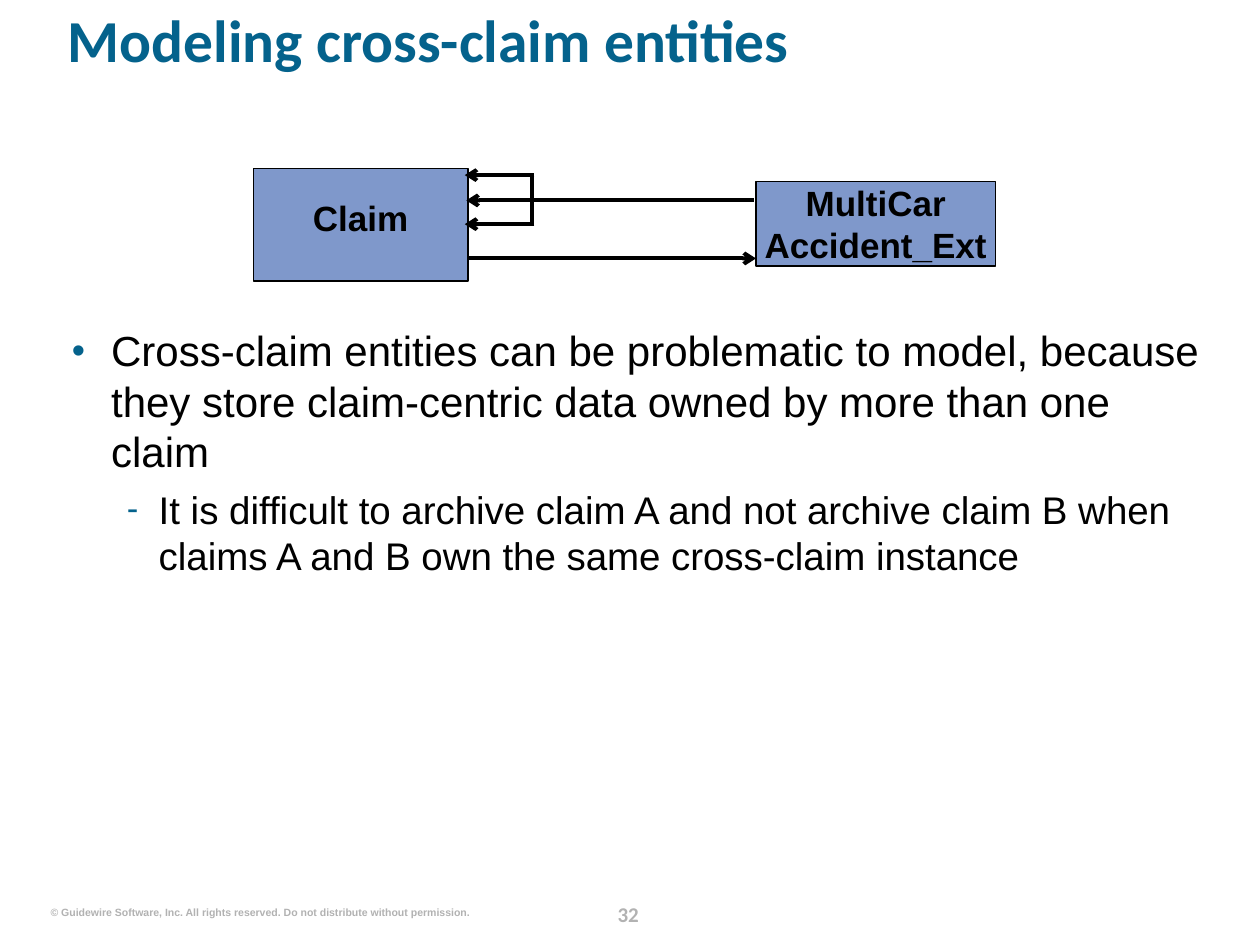
"""Build the slide about modeling cross-claim entities."""
from lxml import etree
from pptx import Presentation
from pptx.dml.color import RGBColor
from pptx.enum.shapes import MSO_CONNECTOR, MSO_SHAPE
from pptx.enum.text import MSO_ANCHOR, MSO_AUTO_SIZE, PP_ALIGN
from pptx.oxml.ns import qn
from pptx.util import Cm, Pt

RECTANGLE = MSO_SHAPE.RECTANGLE
STRAIGHT = MSO_CONNECTOR.STRAIGHT
TOP, MIDDLE = MSO_ANCHOR.TOP, MSO_ANCHOR.MIDDLE
LEFT, CENTER = PP_ALIGN.LEFT, PP_ALIGN.CENTER
NO_AUTOFIT = MSO_AUTO_SIZE.NONE

COLORS = {"accent": "04628C", "box": "003399", "black": "000000", "footer": "B2B2B2"}

TITLE = "Modeling cross-claim entities"
TITLE_AREA = (1.37, 0.33, 23.11, 2.06)
BODY_AREA = (1.45, 6.55, 23.11, 11.2)
BULLETS = [
    {"text": "Cross-claim entities can be problematic to model, because they store "
             "claim-centric data owned by more than one claim",
     "level": 0, "mark": "•", "size": 24, "before": 0, "margin": 0.79, "hanging": 0.79},
    {"text": "It is difficult to archive claim A and not archive claim B when "
             "claims A and B own the same cross-claim instance",
     "level": 1, "mark": "-", "size": 22, "before": 5.5, "margin": 1.75, "hanging": 0.64},
]
ENTITY_BOXES = [(5.11, 3.4, 4.32, 2.26), (15.24, 3.66, 4.83, 1.7)]
LABELS = [
    (["Claim"], (5.77, 3.96, 3.0, 0.84), 20, "Arial", "black", CENTER, MIDDLE),
    (["MultiCar", "Accident_Ext"], ENTITY_BOXES[1], 20, "Arial", "black", CENTER, MIDDLE),
    (["32"], (11.94, 18.11, 1.45, 0.64), 12, "Calibri", "footer", CENTER, MIDDLE),
    (["© Guidewire Software, Inc. All rights reserved. "
      "Do not distribute without permission."],
     (1.02, 18.26, 8.46, 0.25), 6, "Arial", "footer", LEFT, TOP),
]
LINES = [
    ((15.19, 4.04), (9.4, 4.04), True),
    ((10.77, 3.53), (9.37, 3.53), True),
    ((10.77, 4.52), (9.37, 4.52), True),
    ((10.72, 4.55), (10.72, 3.48), False),
    ((9.45, 5.21), (15.24, 5.21), True),
]


def color(name):
    return RGBColor.from_string(COLORS[name])


def place(shape, area):
    shape.left, shape.top, shape.width, shape.height = map(Cm, area)


def prepare_frame(shape, anchor):
    frame = shape.text_frame
    frame.margin_left = frame.margin_right = frame.margin_top = frame.margin_bottom = 0
    frame.auto_size = NO_AUTOFIT
    frame.word_wrap = True
    frame.vertical_anchor = anchor
    return frame


def add_run(paragraph, text, size, font_name, color_name, bold=False):
    run = paragraph.add_run()
    run.text = text
    run.font.size = Pt(size)
    run.font.name = font_name
    run.font.bold = bold
    run.font.color.rgb = color(color_name)


def add_title(slide):
    title = slide.shapes.title
    place(title, TITLE_AREA)
    paragraph = prepare_frame(title, TOP).paragraphs[0]
    paragraph.alignment = LEFT
    paragraph.line_spacing = 0.8
    add_run(paragraph, TITLE, 34, "Calibri", "accent", True)


def set_bullet(paragraph, bullet):
    properties = paragraph._p.get_or_add_pPr()
    properties.set("marL", str(Cm(bullet["margin"])))
    properties.set("indent", str(-Cm(bullet["hanging"])))
    bullet_color = etree.SubElement(properties, qn("a:buClr"))
    etree.SubElement(bullet_color, qn("a:srgbClr"), val=COLORS["accent"])
    etree.SubElement(properties, qn("a:buSzPct"), val="90000")
    etree.SubElement(properties, qn("a:buFont"), typeface="Arial")
    etree.SubElement(properties, qn("a:buChar"), char=bullet["mark"])


def add_body(slide):
    body = slide.placeholders[1]
    place(body, BODY_AREA)
    frame = prepare_frame(body, TOP)
    for index, bullet in enumerate(BULLETS):
        paragraph = frame.add_paragraph() if index else frame.paragraphs[0]
        paragraph.level = bullet["level"]
        set_bullet(paragraph, bullet)
        paragraph.alignment = LEFT
        paragraph.space_before = Pt(bullet["before"])
        add_run(paragraph, bullet["text"], bullet["size"], "Arial", "black")


def add_entity_box(slide, area):
    box = slide.shapes.add_shape(RECTANGLE, *map(Cm, area))
    box.shadow.inherit = False
    box.fill.solid()
    box.fill.fore_color.rgb = color("box")
    fill_color = box._element.spPr.find(qn("a:solidFill")).find(qn("a:srgbClr"))
    etree.SubElement(fill_color, qn("a:alpha"), val="50000")
    box.line.color.rgb = color("black")
    box.line.width = Pt(1)
    return box


def add_label(shape, lines, size, font_name, color_name, alignment, anchor):
    paragraph = prepare_frame(shape, anchor).paragraphs[0]
    paragraph.alignment = alignment
    for index, text in enumerate(lines):
        if index:
            paragraph.add_line_break()
        add_run(paragraph, text, size, font_name, color_name, True)


def add_line(slide, start, end, has_arrow):
    connector = slide.shapes.add_connector(STRAIGHT, *map(Cm, start + end))
    connector.line.color.rgb = color("black")
    connector.line.width = Pt(2.25)
    if has_arrow:
        etree.SubElement(connector.line._get_or_add_ln(), qn("a:tailEnd"), type="arrow")
    etree.SubElement(connector._element.spPr, qn("a:effectLst"))


def main():
    presentation = Presentation()
    presentation.slide_width, presentation.slide_height = Cm(25.4), Cm(19.05)
    slide = presentation.slides.add_slide(presentation.slide_layouts[1])
    add_title(slide)
    add_body(slide)
    boxes = {area: add_entity_box(slide, area) for area in ENTITY_BOXES}
    for lines, area, *style in LABELS:
        shape = boxes.get(area) or slide.shapes.add_textbox(*map(Cm, area))
        add_label(shape, lines, *style)
    for line in LINES:
        add_line(slide, *line)
    presentation.save("out.pptx")


if __name__ == "__main__":
    main()
